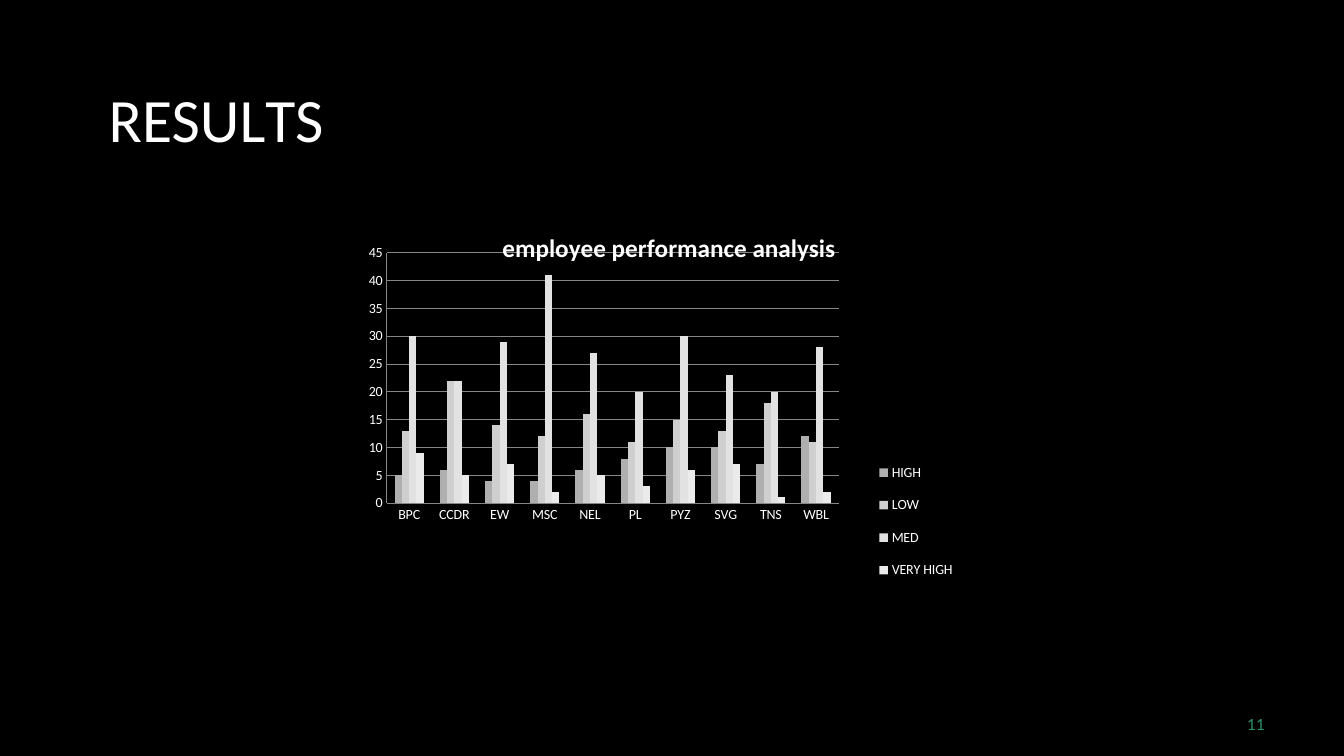
from lxml import etree
from pptx import Presentation
from pptx.chart.data import CategoryChartData
from pptx.dml.color import RGBColor
from pptx.enum import chart as charts, text
from pptx.oxml import parse_xml
from pptx.util import Pt

WHITE, BLACK, GRID, GREEN = "FFFFFF", "000000", "868686", "2D936B"
DEPARTMENTS = ["BPC", "CCDR", "EW", "MSC", "NEL", "PL", "PYZ", "SVG", "TNS", "WBL"]
RATINGS = [
    ("HIGH", "AFAFAF", [5, 6, 4, 4, 6, 8, 10, 10, 7, 12]),
    ("LOW", "CFCFCF", [13, 22, 14, 12, 16, 11, 15, 13, 18, 11]),
    ("MED", "E2E2E2", [30, 22, 29, 41, 27, 20, 30, 23, 20, 28]),
    ("VERY HIGH", "EBEBEB", [9, 5, 7, 2, 5, 3, 6, 7, 1, 2]),
]
CHART_NS = "http://schemas.openxmlformats.org/drawingml/2006/chart"


def color(value):
    return RGBColor.from_string(value)


def style_font(font, size, value, name="Calibri", bold=False):
    font.size, font.name, font.bold = Pt(size), name, bold
    font.color.rgb = color(value)


def add_text(page, box, spans, size, value, name, align, inset=0):
    """Place one line of text; each span is (wording, letter spacing in points)."""
    shape = page.shapes.add_textbox(*(Pt(length) for length in box))
    frame = shape.text_frame
    frame.word_wrap = True
    frame.margin_left, frame.margin_top = Pt(inset), Pt(0.72)
    frame.margin_right = frame.margin_bottom = 0
    para = frame.paragraphs[0]
    para.alignment = align
    for wording, spacing in spans:
        span = para.add_run()
        span.text = wording
        style_font(span.font, size, value, name)
        span.font._element.set("spc", str(round(spacing * 100)))
    return frame


def layout(x, y, width=None, height=None, inner=False):
    """Build a manual chart layout from fractions of the chart area."""
    parts = '<c:layoutTarget val="inner"/>' if inner else ""
    parts += '<c:xMode val="edge"/><c:yMode val="edge"/>'
    for tag, value in (("x", x), ("y", y), ("w", width), ("h", height)):
        if value is not None:
            parts += f'<c:{tag} val="{value}"/>'
    return parse_xml(f'<c:layout xmlns:c="{CHART_NS}">'
                     f"<c:manualLayout>{parts}</c:manualLayout></c:layout>")


def set_layout(element, new_layout, before):
    """Put the layout ahead of the first child with one of the given tags."""
    tags = [f"{{{CHART_NS}}}{tag}" for tag in before]
    for old in element.findall(f"{{{CHART_NS}}}layout"):
        element.remove(old)
    next(child for child in element if child.tag in tags).addprevious(new_layout)


def add_performance_chart(page, box):
    data = CategoryChartData()
    data.categories = DEPARTMENTS
    for name, _, values in RATINGS:
        data.add_series(name, values)
    chart = page.shapes.add_chart(charts.XL_CHART_TYPE.COLUMN_CLUSTERED,
                                  *(Pt(length) for length in box), data).chart
    style_font(chart.font, 10, WHITE)

    # Title
    chart.has_title = True
    title = chart.chart_title
    title.text_frame.text = "employee performance analysis"
    style_font(title.text_frame.paragraphs[0].runs[0].font, 18, WHITE, bold=True)
    title.include_in_layout = False
    set_layout(title._element, layout(0.31, 0.03), ["overlay"])

    # Columns
    plot = chart.plots[0]
    plot.gap_width, plot.overlap, plot.vary_by_categories = 219, 0, False
    for series, (_, fill, _) in zip(plot.series, RATINGS):
        series.format.fill.solid()
        series.format.fill.fore_color.rgb = color(fill)
    set_layout(chart._chartSpace.chart.plotArea,
               layout(0.153, 0.091, 0.638, 0.567, inner=True), ["barChart"])

    # Axes
    for axis in (chart.category_axis, chart.value_axis):
        axis.major_tick_mark = axis.minor_tick_mark = charts.XL_TICK_MARK.NONE
        axis.format.line.color.rgb = color(GRID)
    values = chart.value_axis
    values.minimum_scale, values.maximum_scale, values.major_unit = 0, 45, 5
    values.has_major_gridlines = True
    values.major_gridlines.format.line.color.rgb = color(GRID)

    # Legend
    chart.has_legend = True
    chart.legend.position = charts.XL_LEGEND_POSITION.RIGHT
    chart.legend.include_in_layout = False
    set_layout(chart.legend._element, layout(0.83, 0.533, 0.14, 0.333), ["overlay"])


def build_results(page):
    page.background.fill.solid()
    page.background.fill.fore_color.rgb = color(BLACK)

    # Heading
    heading = add_text(page, (58.3, 56.2, 192.2, 54.7),
                       [("RESU", 0), ("L", -4), ("TS", 0)],
                       44, WHITE, "Calibri", text.PP_ALIGN.CENTER)
    heading.vertical_anchor = text.MSO_ANCHOR.MIDDLE

    add_performance_chart(page, (198.7, 151.9, 506.2, 315.4))

    # Page number
    add_text(page, (887.8, 509.8, 18, 13.7), [("11", 0.1)],
             11, GREEN, "Lato", text.PP_ALIGN.LEFT, inset=3)


def main():
    deck = Presentation()
    deck.slide_width, deck.slide_height = Pt(960), Pt(540)
    build_results(deck.slides.add_slide(deck.slide_layouts[6]))
    deck.save("out.pptx")


if __name__ == "__main__":
    main()
